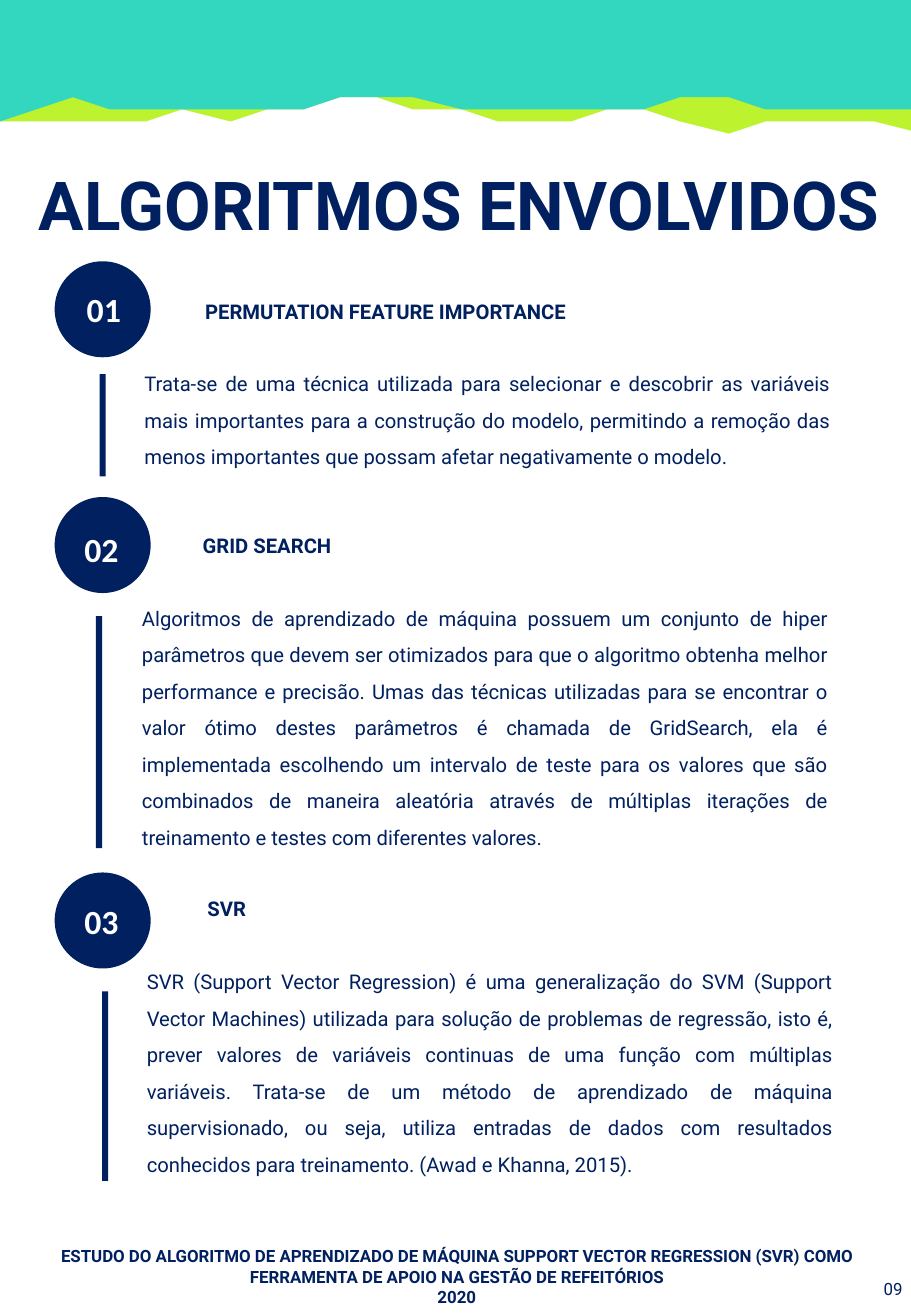
import pptx
import pptx.dml.color
import pptx.enum.shapes
import pptx.enum.text
import pptx.util
from lxml import etree

# Grid: square cells of a tenth of an inch, 75 columns by 108.3 rows
CELL = pptx.util.Inches(0.1)
COLUMNS, ROWS = 75, 108.3
NAVY, WHITE = "002060", "FFFFFF"
SHAPES = pptx.enum.shapes.MSO_SHAPE
ALIGN = pptx.enum.text.PP_ALIGN
ANCHOR = pptx.enum.text.MSO_ANCHOR

deck = pptx.Presentation()
deck.slide_width = int(COLUMNS * CELL)
deck.slide_height = int(ROWS * CELL)
page = deck.slides.add_slide(deck.slide_layouts[6])


def paint(shape, color, opacity=100):
    shape.shadow.inherit = False
    shape.line.fill.background()
    shape.fill.solid()
    shape.fill.fore_color.rgb = pptx.dml.color.RGBColor.from_string(color)
    if opacity < 100:
        tint = shape.fill._xPr.find(".//" + pptx.oxml.ns.qn("a:srgbClr"))
        etree.SubElement(tint, pptx.oxml.ns.qn("a:alpha"), val=str(opacity * 1000))


def write(place, lines, size, align, color=NAVY, font="Roboto", anchor=ANCHOR.TOP):
    """Add a text box; each line is a pair of text and bold."""
    box = page.shapes.add_textbox(*(int(cells * CELL) for cells in place))
    frame = box.text_frame
    frame.word_wrap = True
    frame.vertical_anchor = anchor
    for index, (text, bold) in enumerate(lines):
        para = frame.add_paragraph() if index else frame.paragraphs[0]
        para.alignment = align
        span = para.add_run()
        span.text = text
        span.font.size = pptx.util.Pt(size)
        span.font.name = font
        span.font.bold = bold
        span.font.color.rgb = pptx.dml.color.RGBColor.from_string(color)
    return frame


# Torn-edge bands: each lower edge runs from right to left
lime_edge = [
    (75.5, 10.6), (72.2, 9.7), (69.1, 10.2), (62.7, 10.2), (59.5, 10.6), (56.4, 9.5),
    (53.3, 8.8), (50.2, 8.8), (46.9, 9.7), (43.8, 10), (40.7, 10.4), (37.5, 9.4),
    (34.4, 9.3), (31.3, 8.5), (28.1, 8.5), (24.8, 8.9), (21.7, 8.9), (18.7, 9.7),
    (15.4, 9.2), (12.4, 9.9), (6.1, 9.9), (3, 9.7), (-0.3, 10.4),
]
aqua_edge = [
    (75.5, 9.2), (72.1, 8.7), (65.8, 8.7), (62.7, 9.1), (59.5, 8.3), (56.4, 8.3),
    (53.4, 8.7), (50.3, 9), (47, 9), (43.8, 8.7), (40.7, 9), (37.6, 8.6),
    (34.4, 8), (31.4, 8.4), (28.2, 8.4), (24.9, 9.1), (21.8, 8.7), (18.6, 8.7),
    (15.5, 9.1), (9.2, 9.1), (6.1, 8.3), (3.1, 8.6), (-0.3, 9.6),
]
for edge, top, color, opacity in [(lime_edge, 0, "AFF000", 82), (aqua_edge, -0.1, "00CEF6", 73)]:
    outline = page.shapes.build_freeform(*edge[0], scale=CELL)
    outline.add_line_segments(edge[1:] + [(-0.5, top), (75.6, top)], close=True)
    paint(outline.convert_to_shape(), color, opacity)

# Title
write((0, 12.9, 75.6, 7.7), [("ALGORITMOS ENVOLVIDOS", True)], 40, ALIGN.CENTER)

# Numbered sections: circle top, number place, bar place, text place, heading, body
sections = [
    (21.5, (6, 23.3), (8.2, 30.8, 8.4), (10.9, 23.1, 15.8), "PERMUTATION FEATURE IMPORTANCE",
     "Trata-se de uma técnica utilizada para selecionar e descobrir as variáveis mais "
     "importantes para a construção do modelo, permitindo a remoção das menos importantes "
     "que possam afetar negativamente o modelo."),
    (40.9, (5.8, 43), (7.9, 50.7, 19.1), (10.7, 42.4, 28), "GRID SEARCH",
     "Algoritmos de aprendizado de máquina possuem um conjunto de hiper parâmetros que devem "
     "ser otimizados para que o algoritmo obtenha melhor performance e precisão. Umas das "
     "técnicas utilizadas para se encontrar o valor ótimo destes parâmetros é chamada de "
     "GridSearch, ela é implementada escolhendo um intervalo de teste para os valores que são "
     "combinados de maneira aleatória através de múltiplas iterações de treinamento e testes "
     "com diferentes valores."),
    (71.8, (5.8, 73.6), (8.4, 81.6, 15.6), (11.1, 72.3, 24.9), "SVR",
     "SVR (Support Vector Regression) é uma generalização do SVM (Support Vector Machines) "
     "utilizada para solução de problemas de regressão, isto é, prever valores de variáveis "
     "continuas de uma função com múltiplas variáveis. Trata-se de um método de aprendizado "
     "de máquina supervisionado, ou seja, utiliza entradas de dados com resultados conhecidos "
     "para treinamento. (Awad e Khanna, 2015)."),
]
for number, section in enumerate(sections, 1):
    circle_top, number_place, bar, text, heading, body = section
    marks = [(SHAPES.OVAL, (4.5, circle_top, 7.9, 7.9)),
             (SHAPES.RECTANGLE, (bar[0], bar[1], 0.5, bar[2]))]
    for kind, place in marks:
        paint(page.shapes.add_shape(kind, *(int(cells * CELL) for cells in place)), NAVY)
    write((*number_place, 5.1, 4.4), [(f"{number:02}", True)], 20, ALIGN.CENTER, WHITE, "Calibri")

    frame = write((text[0], text[1], 58.5, text[2]), [(heading, True), (body, False)],
                  12, ALIGN.JUSTIFY)
    for para in frame.paragraphs:
        para.line_spacing = 1.5
    # The heading is indented and stands one line above the body
    title = frame.paragraphs[0]
    title.space_after = pptx.util.Pt(21.6)
    title._p.get_or_add_pPr().set("marL", str(5 * CELL))

# Footer and page number
write((0, 101.8, 75.2, 6.5),
      [("ESTUDO DO ALGORITMO DE APRENDIZADO DE MÁQUINA SUPPORT VECTOR REGRESSION (SVR) COMO "
        "FERRAMENTA DE APOIO NA GESTÃO DE REFEITÓRIOS", True), ("2020", True)],
      10, ALIGN.CENTER, anchor=ANCHOR.MIDDLE)
folio = write((70.4, 103.8, 4.6, 4.5), [("09", False)], 10, ALIGN.RIGHT, anchor=ANCHOR.MIDDLE)
folio.margin_left = folio.margin_right = int(0.7 * CELL)
folio.margin_top = folio.margin_bottom = int(0.7 * CELL)

deck.save("out.pptx")
